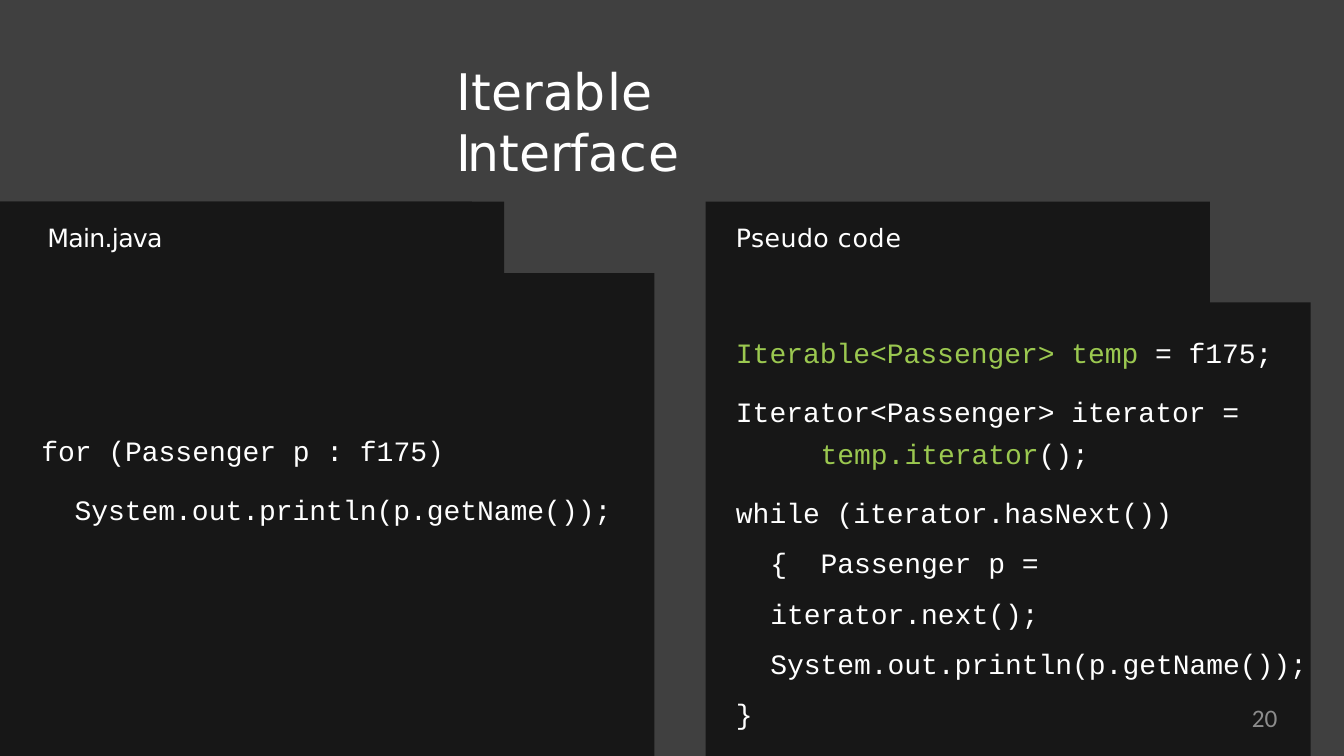
from pptx import Presentation
from pptx import util as u
from pptx.dml.color import RGBColor
from pptx.enum import shapes, text

BACKDROP = RGBColor(0x40, 0x40, 0x40)
PANEL = RGBColor(0x17, 0x17, 0x17)
WHITE = RGBColor(0xFF, 0xFF, 0xFF)
GREEN = RGBColor(0x9B, 0xC8, 0x50)
GREY = RGBColor(0x8C, 0x8C, 0x8C)

WIDTH, HEIGHT = 13.33, 7.5
PANEL_WIDTH, TAB_WIDTH = 6.49, 4.68
PANEL_LEFT = (0, WIDTH - PANEL_WIDTH)
TAB_TOP, TAB_BOTTOM, CODE_TOP = 2, 2.54, 2.71
TEXT_LEFT = 7.3
LABEL_TOP = 2.21

presentation = Presentation()
presentation.slide_width = u.Inches(WIDTH)
presentation.slide_height = u.Inches(HEIGHT)
slide = presentation.slides.add_slide(presentation.slide_layouts[6])
slide.background.fill.solid()
slide.background.fill.fore_color.rgb = BACKDROP


def open_frame(left, top, width, height, filled=False, inset_left=0, inset_top=0):
    """Add a text box, or a panel-coloured rectangle, and return its text frame."""
    box = [u.Inches(length) for length in (left, top, width, height)]
    if filled:
        shape = slide.shapes.add_shape(shapes.MSO_SHAPE.RECTANGLE, *box)
        shape.shadow.inherit = False
        shape.fill.solid()
        shape.fill.fore_color.rgb = PANEL
        shape.line.fill.background()
    else:
        shape = slide.shapes.add_textbox(*box)
    frame = shape.text_frame
    frame.word_wrap = True
    frame.vertical_anchor = text.MSO_ANCHOR.TOP
    frame.margin_left, frame.margin_top = u.Inches(inset_left), u.Inches(inset_top)
    frame.margin_right = frame.margin_bottom = 0
    frame.paragraphs[0].alignment = text.PP_ALIGN.LEFT
    return frame


def add_run(paragraph, words, font, size, color=WHITE, spacing=0):
    """Add one run; spacing is the letter spacing in points."""
    run = paragraph.add_run()
    run.text = words
    run.font.name, run.font.size = font, u.Pt(size)
    run.font.color.rgb = color
    if spacing:
        run.font._element.set("spc", str(round(spacing * 100)))


# Tabbed panels
for left in PANEL_LEFT:
    right, tab_right = left + PANEL_WIDTH, left + TAB_WIDTH
    builder = slide.shapes.build_freeform(left, TAB_TOP, scale=u.Inches(1))
    builder.add_line_segments(
        [(tab_right, TAB_TOP), (tab_right, TAB_BOTTOM), (right, TAB_BOTTOM),
         (right, HEIGHT), (left, HEIGHT)])
    panel = builder.convert_to_shape()
    panel.shadow.inherit = False
    panel.fill.solid()
    panel.fill.fore_color.rgb = PANEL
    panel.line.fill.background()

# Title, kerned letter by letter
TITLE_LINES = [
    [("I", -2.6), ("t", -3.1), ("e", -0.5), ("r", -1.9), ("a", -1.1),
     ("b", 1.2), ("l", -0.9), ("e", -0.5)],
    [("In", -3), ("t", -0.4), ("e", -0.5), ("r", -1.1), ("f", -0.2),
     ("a", -1.1), ("c", 1.1), ("e", -0.5)],
]
title = open_frame(4.53, 0.59, 4.17, 1.22).paragraphs[0]
title.line_spacing = u.Pt(43.5)
for number, letters in enumerate(TITLE_LINES):
    if number:
        title.add_line_break()
    for letter, spacing in letters:
        add_run(title, letter, "DejaVu Sans", 36, spacing=spacing)

# Code: each line is (indent in inches, line height in points, space before, runs)
FOR_LOOP = [
    (0.41, 24, 0, [("for (Passenger p : f175)", WHITE)]),
    (0.74, 42, 0, [("System.out.println(p.getName());", WHITE)]),
]
ITERATOR_LOOP = [
    (0, 24, 0, [("Iterable<Passenger> temp ", GREEN), ("= f175;", WHITE)]),
    (0, 30, 12, [("Iterator<Passenger> iterator =", WHITE)]),
    (0.84, 30, 0, [("temp.iterator", GREEN), ("();", WHITE)]),
    (0, 36, 6, [("while (iterator.hasNext())", WHITE)]),
    (0.34, 36, 0, [("{  Passenger p =", WHITE)]),
    (0.34, 36, 0, [("iterator.next();", WHITE)]),
    (0.34, 36, 0, [("System.out.println(p.getName());", WHITE)]),
    (0, 24, 12, [("}", WHITE)]),
]
for_frame = open_frame(0, CODE_TOP, PANEL_WIDTH, HEIGHT - CODE_TOP,
                       filled=True, inset_top=1.59)
iterator_frame = open_frame(TEXT_LEFT, 3.33, WIDTH - TEXT_LEFT, 3.97)
for frame, lines in ((for_frame, FOR_LOOP), (iterator_frame, ITERATOR_LOOP)):
    for number, (indent, line_height, space_before, runs) in enumerate(lines):
        paragraph = frame.add_paragraph() if number else frame.paragraphs[0]
        paragraph.alignment = text.PP_ALIGN.LEFT
        paragraph.line_spacing = u.Pt(line_height)
        if space_before:
            paragraph.space_before = u.Pt(space_before)
        paragraph._p.get_or_add_pPr().set("marL", str(u.Inches(indent)))
        for words, color in runs:
            add_run(paragraph, words, "Courier New", 20, color, -0.05)

# Tab labels
file_label = open_frame(0, TAB_TOP, TAB_WIDTH, TAB_BOTTOM - TAB_TOP, filled=True,
                        inset_left=0.47, inset_top=LABEL_TOP - TAB_TOP)
add_run(file_label.paragraphs[0], "Main.java", "DejaVu Sans", 18, spacing=-0.5)
pseudo_label = open_frame(TEXT_LEFT, LABEL_TOP, 1.8, 0.33).paragraphs[0]
add_run(pseudo_label, "Pseudo ", "DejaVu Sans", 18, spacing=0.3)
add_run(pseudo_label, "code", "DejaVu Sans", 18, spacing=0.6)

# Slide number
page = open_frame(9.6, 6.97, 3.07, 0.38).paragraphs[0]
page.alignment = text.PP_ALIGN.RIGHT
add_run(page, "20", "Calibri", 18, GREY)

presentation.save("out.pptx")
